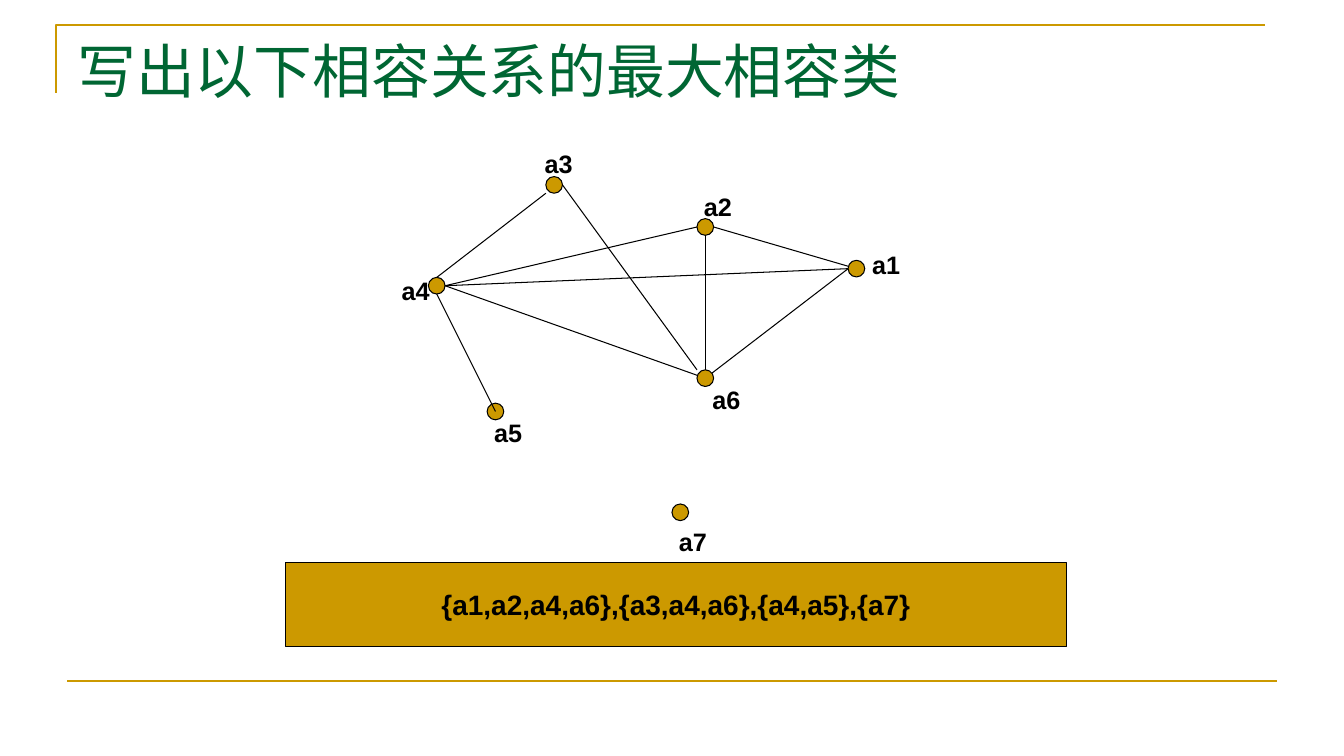
from pptx import Presentation
from pptx.dml.color import RGBColor
from pptx.enum.shapes import MSO_CONNECTOR, MSO_SHAPE
from pptx.enum.text import MSO_ANCHOR, PP_ALIGN
from pptx.oxml.ns import qn
from pptx.util import Cm, Pt
from lxml import etree

STRAIGHT = MSO_CONNECTOR.STRAIGHT
OVAL, RECTANGLE = MSO_SHAPE.OVAL, MSO_SHAPE.RECTANGLE
TOP, MIDDLE = MSO_ANCHOR.TOP, MSO_ANCHOR.MIDDLE
LEFT, CENTER = PP_ALIGN.LEFT, PP_ALIGN.CENTER

GOLD = RGBColor(0xCC, 0x99, 0x00)
GREEN = RGBColor(0x00, 0x66, 0x33)
BLACK = RGBColor(0x00, 0x00, 0x00)

RADIUS = 0.21
LABEL_WIDTH, LABEL_HEIGHT = 1.9, 2.34

VERTICES = {
    "a1": (21.59, 6.77),
    "a2": (17.78, 5.72),
    "a3": (13.97, 4.66),
    "a4": (11.01, 7.2),
    "a5": (12.49, 10.37),
    "a6": (17.78, 9.53),
    "a7": (17.15, 12.91),
}
LABEL_OFFSETS = {
    "a1": (0.75, -0.1),
    "a2": (0.32, -0.53),
    "a3": (0.11, -0.53),
    "a4": (-0.53, 0.11),
    "a5": (0.32, 0.53),
    "a6": (0.53, 0.53),
    "a7": (0.32, 0.74),
}
EDGES = [
    ("a4", (0, -1), "a3", (-1, 1)),
    ("a3", (1, 0), "a6", (-1, -1)),
    ("a4", (0, 1), "a5", (0, 0)),
    ("a4", (1, 0), "a2", (-1, 0)),
    ("a2", (1, 0), "a1", (0, 0)),
    ("a2", (0, 1), "a6", (0, 0)),
    ("a4", (1, 0), "a1", (-1, 0)),
    ("a6", (0, 0), "a1", (-1, 0)),
    ("a4", (1, 0), "a6", (0, 0)),
]


class GraphSlide:
    font = "Arial"
    outline = 0.75
    rule = 1.5

    def __init__(self, slide):
        self.shapes = slide.shapes

    def fill_text(self, shape, text, size, color=BLACK, font=font, bold=True,
                  align=CENTER, anchor=MIDDLE, wrap=False):
        frame = shape.text_frame
        frame.word_wrap = wrap
        frame.vertical_anchor = anchor
        paragraph = frame.paragraphs[0]
        paragraph.alignment = align
        run = paragraph.add_run()
        run.text = text
        run.font.name = font
        run.font.size = Pt(size)
        run.font.bold = bold
        run.font.color.rgb = color

    def text(self, left, top, width, height, text, size, **style):
        box = self.shapes.add_textbox(Cm(left), Cm(top), Cm(width), Cm(height))
        self.fill_text(box, text, size, **style)

    def shape(self, kind, left, top, width, height):
        shape = self.shapes.add_shape(kind, Cm(left), Cm(top), Cm(width), Cm(height))
        shape.shadow.inherit = False
        shape.fill.solid()
        shape.fill.fore_color.rgb = GOLD
        shape.line.color.rgb = BLACK
        shape.line.width = Pt(self.outline)
        return shape

    def line(self, start, end, color=BLACK, width=outline):
        line = self.shapes.add_connector(STRAIGHT, *map(Cm, start), *map(Cm, end))
        line.line.color.rgb = color
        line.line.width = Pt(width)
        etree.SubElement(line._element.spPr, qn("a:effectLst"))

    def corner(self, *points):
        first, *others = [tuple(map(Cm, point)) for point in points]
        builder = self.shapes.build_freeform(*first)
        builder.add_line_segments(others, close=False)
        corner = builder.convert_to_shape()
        corner.shadow.inherit = False
        corner.fill.background()
        corner.line.color.rgb = GOLD
        corner.line.width = Pt(self.rule)

    def vertex(self, name):
        x, y = VERTICES[name]
        self.shape(OVAL, x - RADIUS, y - RADIUS, 2 * RADIUS, 2 * RADIUS)

    def edge(self, source, source_side, target, target_side):
        start, end = (
            [center + RADIUS * side for center, side in zip(VERTICES[name], sides)]
            for name, sides in ((source, source_side), (target, target_side))
        )
        self.line(start, end)

    def label(self, name):
        x, y = (sum(pair) for pair in zip(VERTICES[name], LABEL_OFFSETS[name]))
        self.text(x - LABEL_WIDTH / 2, y - LABEL_HEIGHT / 2,
                  LABEL_WIDTH, LABEL_HEIGHT, name, 18)


def main():
    presentation = Presentation()
    presentation.slide_width = Cm(33.88)
    presentation.slide_height = Cm(19.05)
    graph = GraphSlide(presentation.slides.add_slide(presentation.slide_layouts[6]))

    graph.corner((1.42, 2.34), (1.42, 0.64), (31.9, 0.64))
    graph.line((1.7, 17.15), (32.18, 17.15), GOLD, graph.rule)
    graph.text(1.7, 0.76, 30.48, 3.18, "写出以下相容关系的最大相容类", 42,
               color=GREEN, font="Times New Roman", bold=False,
               align=LEFT, anchor=TOP, wrap=True)

    for name in ("a3", "a4", "a5", "a2", "a7"):
        graph.vertex(name)
    for edge in EDGES:
        graph.edge(*edge)
    for name in ("a1", "a6"):
        graph.vertex(name)
    for name in VERTICES:
        graph.label(name)

    answer = graph.shape(RECTANGLE, 7.2, 14.18, 19.69, 2.12)
    graph.fill_text(answer, "{a1,a2,a4,a6},{a3,a4,a6},{a4,a5},{a7}", 20)

    presentation.save("out.pptx")


if __name__ == "__main__":
    main()
